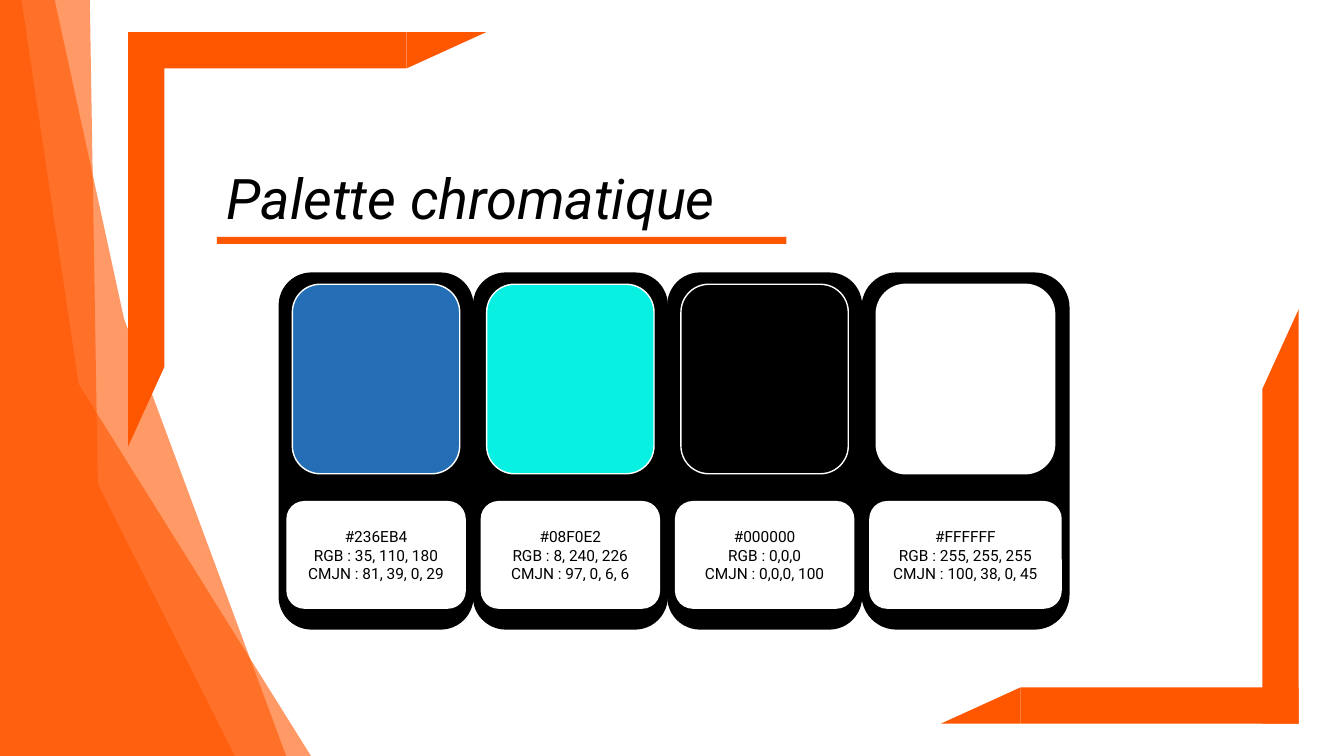
"""Build the colour palette slide with its orange frame and four colour cards."""
from lxml import etree
from pptx import Presentation
from pptx.dml.color import RGBColor
from pptx.enum.shapes import MSO_SHAPE
from pptx.enum.text import MSO_ANCHOR, PP_ALIGN
from pptx.oxml.ns import qn
from pptx.util import Inches, Pt

RECTANGLE = MSO_SHAPE.RECTANGLE
ROUNDED = MSO_SHAPE.ROUNDED_RECTANGLE
TRIANGLE = MSO_SHAPE.RIGHT_TRIANGLE
MIDDLE = MSO_ANCHOR.MIDDLE
LEFT, CENTER = PP_ALIGN.LEFT, PP_ALIGN.CENTER

COLORS = {"orange": "FF5600", "black": "000000", "white": "FFFFFF",
          "blue": "236EB4", "cyan": "08F0E2"}


def add_block(shapes, kind, left, top, width, height, fill, line=None):
    shape = shapes.add_shape(kind, Inches(left), Inches(top), Inches(width), Inches(height))
    shape.shadow.inherit = False
    shape.fill.solid()
    shape.fill.fore_color.rgb = RGBColor.from_string(COLORS[fill])
    if line:
        shape.line.color.rgb = RGBColor.from_string(COLORS[line])
        shape.line.width = Pt(1)
    else:
        shape.line.fill.background()
    return shape


def write_text(shape, text, size, italic=False, align=LEFT):
    frame = shape.text_frame
    frame.word_wrap = True
    frame.text = text
    for paragraph in frame.paragraphs:
        paragraph.alignment = align
        paragraph.font.name = "Roboto"
        paragraph.font.size = Pt(size)
        paragraph.font.italic = italic
        paragraph.font.color.rgb = RGBColor.from_string(COLORS["black"])


presentation = Presentation()
presentation.slide_width = Inches(13.33)
presentation.slide_height = Inches(7.5)
slide = presentation.slides.add_slide(presentation.slide_layouts[6])

shards = [
    [(-0.05, -0.05), (-0.04, 7.53), (2.85, 7.53), (1.23, 3.16), (0.53, -0.06)],
    [(-0.08, -0.16), (0.19, -0.16), (0.78, 3.81), (3.16, 7.62), (-0.1, 7.57)],
    [(-0.11, -0.05), (0.68, -0.05), (0.89, -0.06), (0.97, 4.8), (2.39, 7.62), (-0.1, 7.56)],
]
for shard in shards:
    points = [(Inches(x), Inches(y)) for x, y in shard]
    builder = slide.shapes.build_freeform(*points[0])
    builder.add_line_segments(points[1:], close=True)
    shape = builder.convert_to_shape()
    shape.shadow.inherit = False
    shape.line.fill.background()
    shape.fill.solid()
    shape.fill.fore_color.rgb = RGBColor.from_string(COLORS["orange"])
    color = shape.fill._xPr.find(qn("a:solidFill"))[0]
    etree.SubElement(color, qn("a:alpha")).set("val", "60000")

add_block(slide.shapes, RECTANGLE, 2.15, 2.35, 5.65, 0.07, "orange")

BAR, TIP = 0.36, 0.79
SHIFT = (TIP - BAR) / 2
brackets = [
    {"upright": (1.27, 0.32), "beam": (1.27, 0.32), "beam_tip": 4.03, "upright_tip": 3.64, "turn": 90},
    {"upright": (12.52, 3.86), "beam": (10.12, 6.82), "beam_tip": 9.33, "upright_tip": 3.07, "turn": 270},
]
for bracket in brackets:
    shapes = slide.shapes.add_group_shape().shapes
    upright_left, upright_top = bracket["upright"]
    beam_left, beam_top = bracket["beam"]
    add_block(shapes, RECTANGLE, upright_left, upright_top, BAR, 3.32, "orange")
    add_block(shapes, RECTANGLE, beam_left, beam_top, 2.76, BAR, "orange")
    tips = [
        add_block(shapes, TRIANGLE, bracket["beam_tip"] + SHIFT, beam_top - SHIFT, BAR, TIP, "orange"),
        add_block(shapes, TRIANGLE, upright_left - SHIFT, bracket["upright_tip"] + SHIFT, TIP, BAR, "orange"),
    ]
    for tip in tips:
        tip.rotation = bracket["turn"]

title = slide.shapes.add_textbox(Inches(2.15), Inches(1.57), Inches(5.78), Inches(0.77))
write_text(title, "Palette chromatique", 40, italic=True)

cards = [
    ("blue", 1.92, 1.66, "RGB : 35, 110, 180", "CMJN : 81, 39, 0, 29"),
    ("cyan", 1.92, 1.66, "RGB : 8, 240, 226", "CMJN : 97, 0, 6, 6"),
    ("black", 1.92, 1.66, "RGB : 0,0,0", "CMJN : 0,0,0, 100"),
    ("white", 2.05, 1.77, "RGB : 255, 255, 255", "CMJN : 100, 38, 0, 45"),
]
for index, (name, width, swatch_width, rgb, cmjn) in enumerate(cards):
    left = 2.77 + index * 1.927
    label_width = width - 0.14
    shapes = slide.shapes.add_group_shape().shapes
    add_block(shapes, ROUNDED, left, 2.71, width, 3.53, "black", line="black")
    add_block(shapes, ROUNDED, left + (width - swatch_width) / 2, 2.82, swatch_width, 1.88,
              name, line="white")
    label = add_block(shapes, ROUNDED, left + 0.07, 4.97, label_width, 1.07, "white")
    label.text_frame.vertical_anchor = MIDDLE
    write_text(label, f"#{COLORS[name]}\n{rgb}\n{cmjn}", 11, align=CENTER)

presentation.save("out.pptx")
